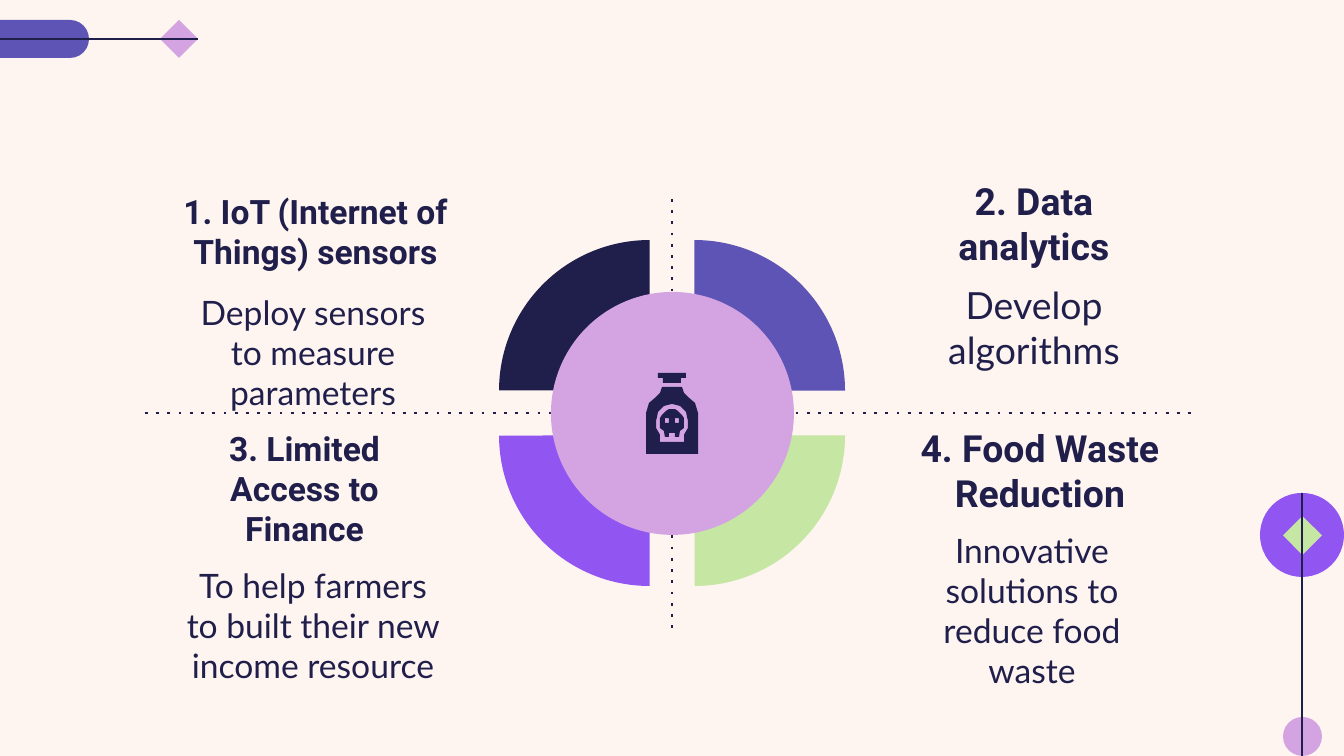
from math import cos, pi, sin

from lxml.etree import SubElement
from pptx import Presentation
from pptx.dml.color import RGBColor
from pptx.enum.shapes import MSO_CONNECTOR, MSO_SHAPE
from pptx.enum.text import MSO_ANCHOR, PP_ALIGN
from pptx.oxml.ns import qn
from pptx.util import Pt

SCALE = 914400 / 134.4
COLORS = {
    "background": "FEF5F0",
    "navy": "201F4B",
    "indigo": "5E54B5",
    "violet": "9156F1",
    "lilac": "D4A4E2",
    "green": "C6E6A3",
}


def emu(*lengths):
    return [round(length * SCALE) for length in lengths]


def paint(shape, color):
    shape.shadow.inherit = False
    shape.fill.solid()
    shape.fill.fore_color.rgb = RGBColor.from_string(COLORS[color])
    shape.line.fill.background()


presentation = Presentation()
presentation.slide_width, presentation.slide_height = emu(1344, 756)
slide = presentation.slides.add_slide(presentation.slide_layouts[6])
slide.background.fill.solid()
slide.background.fill.fore_color.rgb = RGBColor.from_string(COLORS["background"])

ornaments = [
    (MSO_SHAPE.OVAL, 1260, 493, 84, 84, "violet"),
    (MSO_SHAPE.DIAMOND, 1283, 516, 39, 39, "green"),
    (MSO_SHAPE.OVAL, 1283, 717, 39, 39, "lilac"),
    (MSO_SHAPE.ROUNDED_RECTANGLE, -93, 20, 182, 38, "indigo"),
    (MSO_SHAPE.DIAMOND, 160, 20, 38, 38, "lilac"),
]
for kind, left, top, width, height, color in ornaments:
    shape = slide.shapes.add_shape(kind, *emu(left, top, width, height))
    paint(shape, color)
    if kind == MSO_SHAPE.ROUNDED_RECTANGLE:
        shape.adjustments[0] = 0.5

quadrants = [
    (499, 240, 108, 162, "navy"),
    (544, 240, 162, 0, "indigo"),
    (499, 285, 54, 108, "violet"),
    (544, 285, 0, 54, "green"),
]
for left, top, start, end, color in quadrants:
    pie = slide.shapes.add_shape(MSO_SHAPE.PIE, *emu(left, top, 301, 301))
    pie.adjustments[0] = start
    pie.adjustments[1] = end
    paint(pie, color)

lines = [
    (1302, 493, 1302, 756, False),
    (-65, 39, 198, 39, False),
    (145, 413, 1199, 413, True),
    (672, 199, 672, 628, True),
]
for start_x, start_y, end_x, end_y, dotted in lines:
    connector = slide.shapes.add_connector(
        MSO_CONNECTOR.STRAIGHT, *emu(start_x, start_y, end_x, end_y)
    )
    connector.line.color.rgb = RGBColor.from_string(COLORS["navy"])
    connector.line.width = Pt(1.5)
    properties = connector._element.spPr
    if dotted:
        SubElement(properties.find(qn("a:ln")), qn("a:prstDash")).set("val", "dot")
    SubElement(properties, qn("a:effectLst"))

texts = [
    ("Deploy sensors to measure parameters", 168, 278, 290, 90, 18, False),
    ("1. IoT (Internet of Things) sensors", 165, 145, 301, 140, 18, True),
    ("Innovative solutions to reduce food waste", 887, 516, 290, 90, 18, False),
    ("4. Food Waste Reduction", 895, 446, 290, 82, 20, True),
    ("Develop algorithms", 889, 269, 290, 90, 20, False),
    ("2. Data analytics", 889, 199, 290, 82, 20, True),
    ("To help farmers to built their new income resource", 168, 551, 290, 90, 18, False),
    ("3. Limited Access to Finance", 158, 510, 293, 52, 18, True),
]
for text, left, top, width, height, size, heading in texts:
    box = slide.shapes.add_textbox(*emu(left, top, width, height))
    frame = box.text_frame
    frame.word_wrap = True
    frame.vertical_anchor = MSO_ANCHOR.BOTTOM if heading else MSO_ANCHOR.TOP
    frame.margin_left = frame.margin_top = frame.margin_right = frame.margin_bottom = Pt(7.2)
    paragraph = frame.paragraphs[0]
    paragraph.text = text
    paragraph.alignment = PP_ALIGN.CENTER
    paragraph.font.name = "Roboto" if heading else "Lato"
    paragraph.font.size = Pt(size)
    paragraph.font.bold = heading
    paragraph.font.color.rgb = RGBColor.from_string(COLORS["navy"])

hub = slide.shapes.add_shape(MSO_SHAPE.OVAL, *emu(551, 292, 243, 243))
paint(hub, "lilac")

arc = [(cos(pi + pi * step / 12), sin(pi + pi * step / 12)) for step in range(13)]
skull_dome = [(672 + 12 * x, 421 + 12 * y) for x, y in arc]
window_dome = [(672 + 16 * x, 421 + 17 * y) for x, y in arc]
cap = [(663, 383), (681, 383), (681, 378), (686, 378),
       (686, 373), (658, 373), (658, 378), (663, 378)]
skull = skull_dome + [(684, 428), (680, 431), (679, 437), (675, 437), (675, 433),
                      (669, 433), (669, 437), (665, 437), (664, 431), (660, 428)]
eyes = [[(x, 418), (x + 4, 418), (x + 4, 423), (x, 423)] for x in (665, 675)]
bottle = [(688, 397), (684, 393), (682, 387), (662, 387), (660, 393), (656, 397),
          (649, 403), (646, 413), (646, 454), (698, 454), (698, 413), (695, 403)]
window = window_dome + [(688, 428), (685, 433), (684, 435), (684, 442),
                        (660, 442), (660, 435), (659, 433), (656, 428)]
for contours in ([cap], [skull, *eyes], [bottle, window]):
    builder = slide.shapes.build_freeform(*contours[0][0], scale=SCALE)
    builder.add_line_segments(contours[0][1:], close=True)
    for hole in contours[1:]:
        builder.move_to(*hole[0])
        builder.add_line_segments(hole[1:], close=True)
    paint(builder.convert_to_shape(), "navy")

presentation.save("out.pptx")
